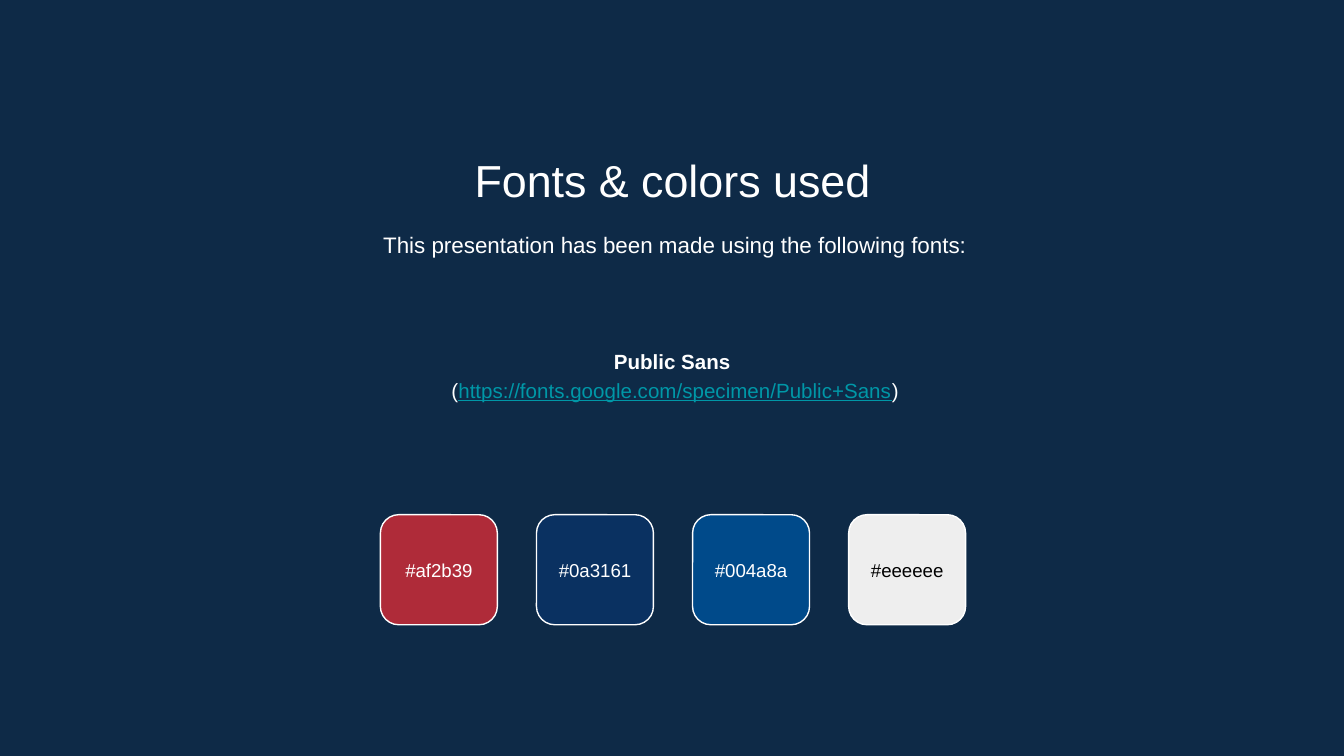
from typing import NamedTuple

from pptx import Presentation
from pptx.dml.color import RGBColor
from pptx.enum.shapes import MSO_SHAPE as SHAPE
from pptx.enum.text import MSO_ANCHOR as ANCHOR, PP_ALIGN as ALIGN
from pptx.slide import Slide
from pptx.util import Cm, Pt

FONT = "Arial"
NAVY = RGBColor(0x0E, 0x2A, 0x47)
WHITE = RGBColor(0xFF, 0xFF, 0xFF)
BLACK = RGBColor(0x00, 0x00, 0x00)
TEAL = RGBColor(0x00, 0x97, 0xA7)

SWATCH_LEFT, SWATCH_TOP, SWATCH_STEP = 7.19, 9.73, 2.95
SWATCH_WIDTH, SWATCH_HEIGHT = 2.21, 2.08
TEXT_WIDTH, INSET = 19.58, 0.25


class Run(NamedTuple):
    text: str
    color: RGBColor = WHITE
    underline: bool = False


class Line(NamedTuple):
    runs: list[Run]
    bold: bool = False


class TextBlock(NamedTuple):
    left: float
    top: float
    height: float
    size: float
    lines: list[Line]
    spacing: float = 1.15
    anchor: ANCHOR = ANCHOR.TOP


class Swatch(NamedTuple):
    code: str
    text_color: RGBColor = WHITE


BLOCKS = [
    TextBlock(2.92, 2.64, 1.35, 24, [Line([Run("Fonts & colors used")])], 1.0),
    TextBlock(2.97, 4.04, 1.22, 12, [
        Line([Run("This presentation has been made using the following fonts:")]),
    ]),
    TextBlock(2.97, 5.33, 3.48, 11, [
        Line([Run("Public Sans ")], bold=True),
        Line([
            Run("("),
            Run("https://fonts.google.com/specimen/Public+Sans", TEAL, True),
            Run(")"),
        ]),
    ], anchor=ANCHOR.MIDDLE),
]

SWATCHES = [
    Swatch("af2b39"),
    Swatch("0a3161"),
    Swatch("004a8a"),
    Swatch("eeeeee", BLACK),
]


def add_text_block(s: Slide, block: TextBlock) -> None:
    box = s.shapes.add_textbox(
        Cm(block.left), Cm(block.top), Cm(TEXT_WIDTH), Cm(block.height))
    tf = box.text_frame
    tf.word_wrap = True
    tf.vertical_anchor = block.anchor
    tf.margin_left = tf.margin_right = Cm(INSET)
    tf.margin_top = tf.margin_bottom = Cm(INSET)
    for i, line in enumerate(block.lines):
        p = tf.add_paragraph() if i else tf.paragraphs[0]
        p.alignment = ALIGN.CENTER
        p.line_spacing = block.spacing
        p.font.name = FONT
        p.font.size = Pt(block.size)
        p.font.bold = line.bold
        for run in line.runs:
            r = p.add_run()
            r.text = run.text
            r.font.color.rgb = run.color
            r.font.underline = run.underline


def add_swatch(s: Slide, swatch: Swatch, left: float) -> None:
    sp = s.shapes.add_shape(
        SHAPE.ROUNDED_RECTANGLE,
        Cm(left), Cm(SWATCH_TOP), Cm(SWATCH_WIDTH), Cm(SWATCH_HEIGHT))
    sp.shadow.inherit = False
    sp.fill.solid()
    sp.fill.fore_color.rgb = RGBColor.from_string(swatch.code.upper())
    sp.line.color.rgb = WHITE
    sp.line.width = Pt(0.75)
    tf = sp.text_frame
    tf.margin_left = tf.margin_right = tf.margin_top = tf.margin_bottom = 0
    tf.vertical_anchor = ANCHOR.MIDDLE
    p = tf.paragraphs[0]
    p.text = f"#{swatch.code}"
    p.alignment = ALIGN.CENTER
    p.font.name = FONT
    p.font.size = Pt(10)
    p.font.color.rgb = swatch.text_color


def main() -> None:
    prs = Presentation()
    prs.slide_width, prs.slide_height = Cm(25.4), Cm(14.29)
    s = prs.slides.add_slide(prs.slide_layouts[6])
    s.background.fill.solid()
    s.background.fill.fore_color.rgb = NAVY
    for block in BLOCKS:
        add_text_block(s, block)
    for i, swatch in enumerate(SWATCHES):
        add_swatch(s, swatch, SWATCH_LEFT + i * SWATCH_STEP)
    prs.save("out.pptx")


if __name__ == "__main__":
    main()
